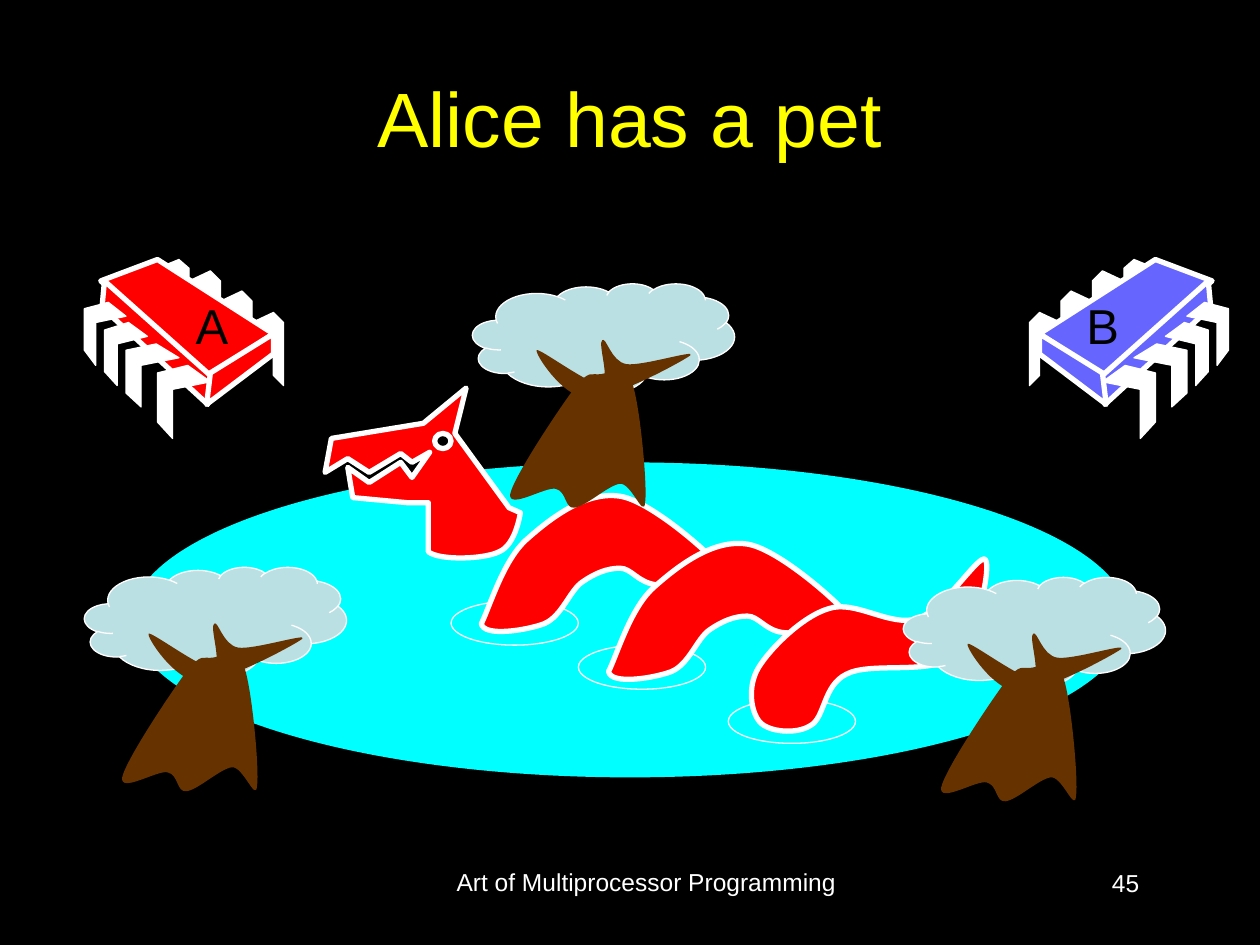
from pptx import Presentation
from pptx.dml.color import RGBColor
from pptx.enum.shapes import MSO_SHAPE as Shape
from pptx.enum.text import MSO_ANCHOR as Anchor, PP_ALIGN as Align
from pptx.oxml.ns import qn
from pptx.oxml.xmlchemy import OxmlElement
from pptx.util import Inches, Pt

TITLE = "Alice has a pet"
FOOTER = "Art of Multiprocessor Programming"
PAGE = "45"

THEME = {
    "font": "Arial", "title": 44, "label": 28, "small": 14,
    "thin": 0.75, "thick": 3,
    "black": "000000", "white": "FFFFFF", "yellow": "FFFF00",
    "red": "FF0000", "blue": "6666FF", "water": "00FFFF",
    "leaf": "BBE0E3", "bark": "663300",
}

# Outlines: a pair is a straight step, six numbers are a Bezier step.
BACK_PIN = [(2, 2.56), (2.17, 2.48), (2.25, 2.56), (2.25, 3.06),
            (2.17, 2.98), (2.17, 2.65), (2, 2.73)]
BACK_PIN_SHIFTS = [(0, 0), (-0.25, -0.17), (-0.5, -0.33)]
LAST_BACK_PIN = [(1.25, 2.13), (1.42, 2.06), (1.5, 2.13), (1.5, 2.56),
                 (1.42, 2.49), (1.42, 2.21), (1.25, 2.28)]
CHIP_FACES = [
    [(1.25, 2.06), (2.17, 2.65), (1.65, 2.99), (0.8, 2.23)],
    [(0.83, 2.23), (1.67, 2.98), (1.65, 3.21), (0.81, 2.44)],
    [(2.17, 2.65), (2.17, 2.81), (1.64, 3.21), (1.67, 2.96)],
]
FRONT_PINS = [
    [(1.49, 2.9), (1.67, 3.03), (1.37, 3.09), (1.37, 3.48), (1.25, 3.35), (1.25, 2.96)],
    [(1.24, 2.73), (1.42, 2.84), (1.12, 2.9), (1.12, 3.23), (1, 3.12), (1, 2.78)],
    [(1.02, 2.56), (1.17, 2.67), (0.93, 2.73), (0.93, 3.06), (0.83, 2.95), (0.83, 2.62)],
    [(0.86, 2.4), (1, 2.51), (0.76, 2.56), (0.76, 2.9), (0.67, 2.78), (0.67, 2.45)],
]
CHIP_MIRROR = 10.42  # x becomes CHIP_MIRROR - x on the right-hand chip
CHIPS = [("A", "red", False, 1.45), ("B", "blue", True, 8.52)]

POND = (1.04, 3.67, 7.92, 2.5)
RIPPLES = [(4.59, 5.12), (5.78, 5.55), (3.58, 4.77)]
HUMP = [(3.82, 4.95), (3.84, 5.06, 4.19, 5, 4.32, 4.95),
        (4.46, 4.89, 4.52, 4.69, 4.62, 4.62), (4.72, 4.55, 4.82, 4.51, 4.92, 4.51),
        (5.01, 4.51, 5.06, 4.62, 5.2, 4.64), (5.35, 4.65, 5.84, 4.72, 5.8, 4.6),
        (5.75, 4.49, 5.2, 3.99, 4.93, 3.94), (4.65, 3.89, 4.36, 4.12, 4.17, 4.29),
        (3.99, 4.46, 3.89, 4.81, 3.82, 4.95)]
HUMP_SHIFTS = [(0, 0), (1.01, 0.38)]
HEAD = [(4.04, 4.03), (3.61, 3.44), (3.7, 3.08), (3.36, 3.36), (2.63, 3.48),
        (2.58, 3.75), (2.76, 3.64), (2.93, 3.75), (3.18, 3.6), (3.27, 3.67),
        (3.41, 3.59), (3.27, 3.79), (3.18, 3.67), (2.93, 3.83), (2.76, 3.71),
        (2.8, 3.95), (3.23, 3.99), (3.4, 3.99), (3.4, 4.38),
        (3.49, 4.45, 3.84, 4.44, 3.96, 4.38), (4.08, 4.33, 4.12, 4.13, 4.13, 4.07)]
EYE = (3.45, 3.44, 0.13, 0.12)
TAIL = [(7.82, 4.44), (7.77, 4.39, 7.49, 4.85, 7.28, 4.91),
        (7.07, 4.98, 6.79, 4.76, 6.58, 4.83), (6.37, 4.89, 6.11, 5.15, 6.02, 5.3),
        (5.93, 5.45, 5.96, 5.65, 6.03, 5.73), (6.1, 5.81, 6.32, 5.83, 6.43, 5.76),
        (6.55, 5.7, 6.53, 5.44, 6.72, 5.35), (6.91, 5.25, 7.39, 5.36, 7.57, 5.21),
        (7.76, 5.05, 7.87, 4.49, 7.82, 4.44)]

TREES = [(3.75, 2.25), (7.17, 4.58), (0.67, 4.5)]
TRUNK = [(0.81, 0.83), (0.93, 0.68, 0.94, 0.73, 1.02, 0.72),
         (1.09, 0.71, 1.21, 0.63, 1.27, 0.8), (1.33, 0.97, 1.39, 1.61, 1.37, 1.74),
         (1.36, 1.87, 1.26, 1.58, 1.17, 1.59), (1.08, 1.6, 0.9, 1.77, 0.81, 1.78),
         (0.73, 1.79, 0.75, 1.65, 0.66, 1.63), (0.58, 1.61, 0.28, 1.8, 0.3, 1.67),
         (0.33, 1.53, 0.69, 0.99, 0.81, 0.83)]
BRANCHES = [(0.51, 0.53), (0.49, 0.55, 0.71, 0.9, 0.91, 0.91),
            (1.12, 0.92, 1.68, 0.61, 1.73, 0.57), (1.78, 0.52, 1.34, 0.66, 1.22, 0.64),
            (1.1, 0.62, 1.06, 0.42, 1.03, 0.45), (0.99, 0.47, 1.1, 0.78, 1.02, 0.8),
            (0.93, 0.81, 0.53, 0.51, 0.51, 0.53)]


def color(name):
    return RGBColor.from_string(THEME[name])


def paint(sp, fill=None, width=None):
    """Set the fill and a white line; None leaves either out."""
    sp.shadow.inherit = False
    if fill:
        sp.fill.solid()
        sp.fill.fore_color.rgb = color(fill)
    else:
        sp.fill.background()
    if width:
        sp.line.color.rgb = color("white")
        sp.line.width = Pt(THEME[width])
    else:
        sp.line.fill.background()


def preset(shapes, kind, box, **look):
    sp = shapes.add_shape(kind, *map(Inches, box))
    paint(sp, **look)
    return sp


def bend(sp, steps):
    """Join the three straight segments of each Bezier step into one curve."""
    segments = iter(list(sp._element.iter(qn("a:lnTo"))))
    for step in steps[1:]:
        parts = [next(segments) for _ in range(len(step) // 2)]
        if len(parts) == 3:
            curve = OxmlElement("a:cubicBezTo")
            parts[0].addprevious(curve)
            for part in parts:
                curve.append(part[0])
                part.getparent().remove(part)


def outline(shapes, steps, shift=(0, 0), mirror=False, **look):
    points = [(Inches(CHIP_MIRROR - x if mirror else x + shift[0]), Inches(y + shift[1]))
              for step in steps for x, y in zip(step[::2], step[1::2])]
    builder = shapes.build_freeform(*points[0])
    builder.add_line_segments(points[1:], close=True)
    sp = builder.convert_to_shape()
    bend(sp, steps)
    paint(sp, **look)


def write(sp, text, size="small", ink="white", align=Align.LEFT, anchor=Anchor.TOP, wrap=True):
    tf = sp.text_frame
    tf.word_wrap = wrap
    tf.vertical_anchor = anchor
    p = tf.paragraphs[0]
    p.alignment = align
    r = p.add_run()
    r.text = text
    r.font.name = THEME["font"]
    r.font.size = Pt(THEME[size])
    r.font.color.rgb = color(ink)


def text_box(s, box, text, **style):
    write(s.shapes.add_textbox(*map(Inches, box)), text, **style)


def draw_chip(s, fill, mirror):
    group = s.shapes.add_group_shape().shapes
    pin = {"mirror": mirror, "fill": "white", "width": "thin"}
    for dx, dy in BACK_PIN_SHIFTS:
        outline(group, [(x + dx, y + dy) for x, y in BACK_PIN], **pin)
    outline(group, LAST_BACK_PIN, **pin)
    for face in CHIP_FACES:
        outline(group, face, mirror=mirror, fill=fill, width="thick")
    for steps in FRONT_PINS:
        outline(group, steps, **pin)


def draw_pet(s):
    group = s.shapes.add_group_shape().shapes
    skin = {"fill": "red", "width": "thick"}
    for x, y in RIPPLES:
        preset(group, Shape.OVAL, (x, y, 1.01, 0.35), width="thin")
    for shift in HUMP_SHIFTS:
        outline(group, HUMP, shift, **skin)
    outline(group, HEAD, **skin)
    preset(group, Shape.OVAL, EYE, fill="black", width="thick")
    outline(group, TAIL, **skin)


def draw_tree(s, place):
    group = s.shapes.add_group_shape().shapes
    crown = preset(group, Shape.CLOUD_CALLOUT, (*place, 2.08, 0.87), fill="leaf", width="thin")
    crown.adjustments[0], crown.adjustments[1] = 0.02, 0.49
    for steps in (TRUNK, BRANCHES):
        outline(group, steps, place, fill="bark")


def main():
    prs = Presentation()
    prs.slide_width, prs.slide_height = Inches(10), Inches(7.5)
    s = prs.slides.add_slide(prs.slide_layouts[5])
    s.background.fill.solid()
    s.background.fill.fore_color.rgb = color("black")

    title = s.shapes.title
    title.left, title.top, title.width, title.height = map(Inches, (0.5, 0.3, 9, 1.25))
    write(title, TITLE, size="title", ink="yellow", align=Align.CENTER, anchor=Anchor.MIDDLE)

    for _, fill, mirror, _ in CHIPS:
        draw_chip(s, fill, mirror)
    preset(s.shapes, Shape.OVAL, POND, fill="water")
    for name, _, _, left in CHIPS:
        text_box(s, (left, 2.3, 0.46, 0.57), name, size="label", ink="black",
                 align=Align.RIGHT, wrap=False)
    draw_pet(s)
    for place in TREES:
        draw_tree(s, place)

    text_box(s, (3.42, 6.83, 3.42, 0.52), FOOTER, align=Align.CENTER)
    text_box(s, (7.06, 6.84, 2.08, 0.5), PAGE, align=Align.RIGHT)
    prs.save("out.pptx")


if __name__ == "__main__":
    main()
